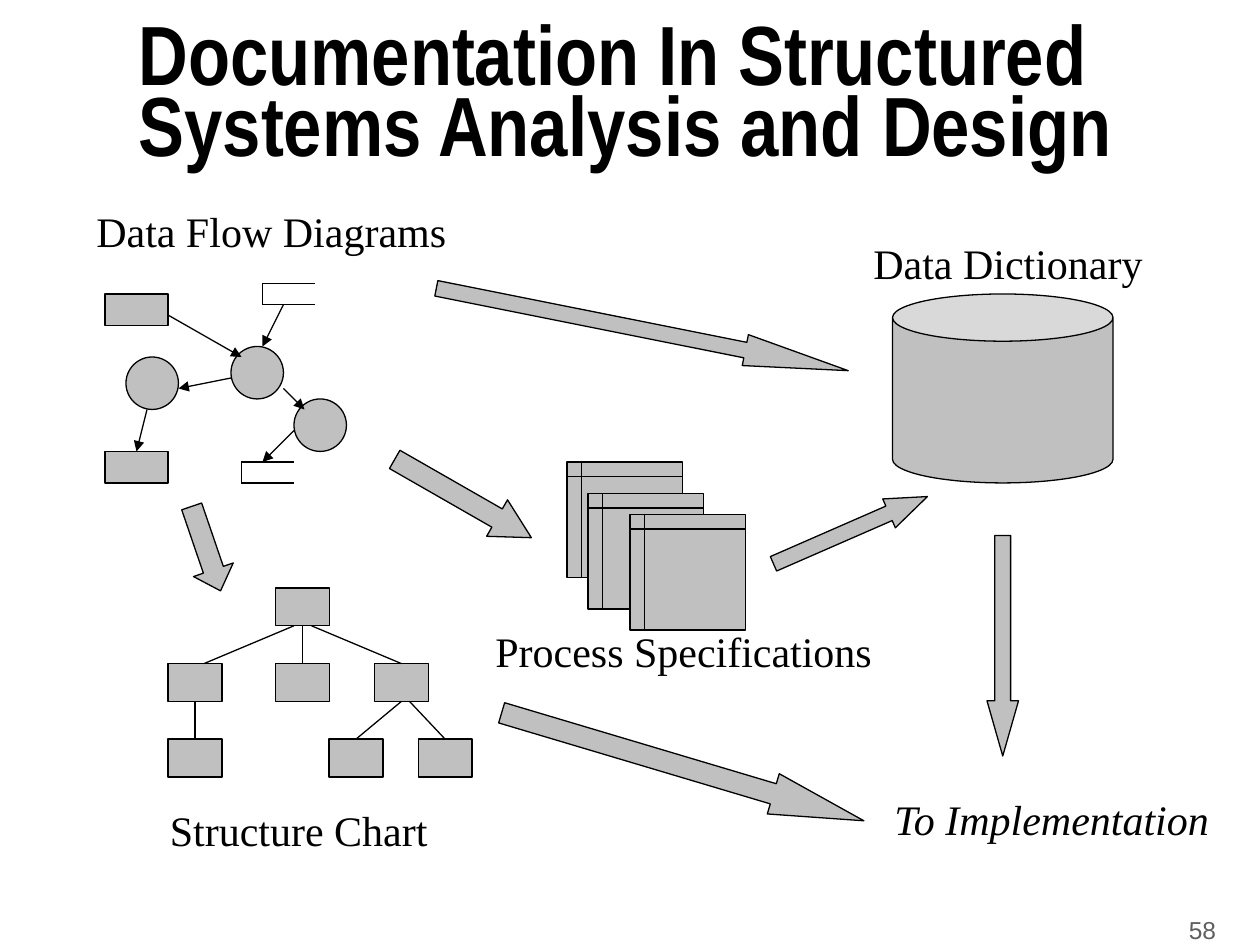
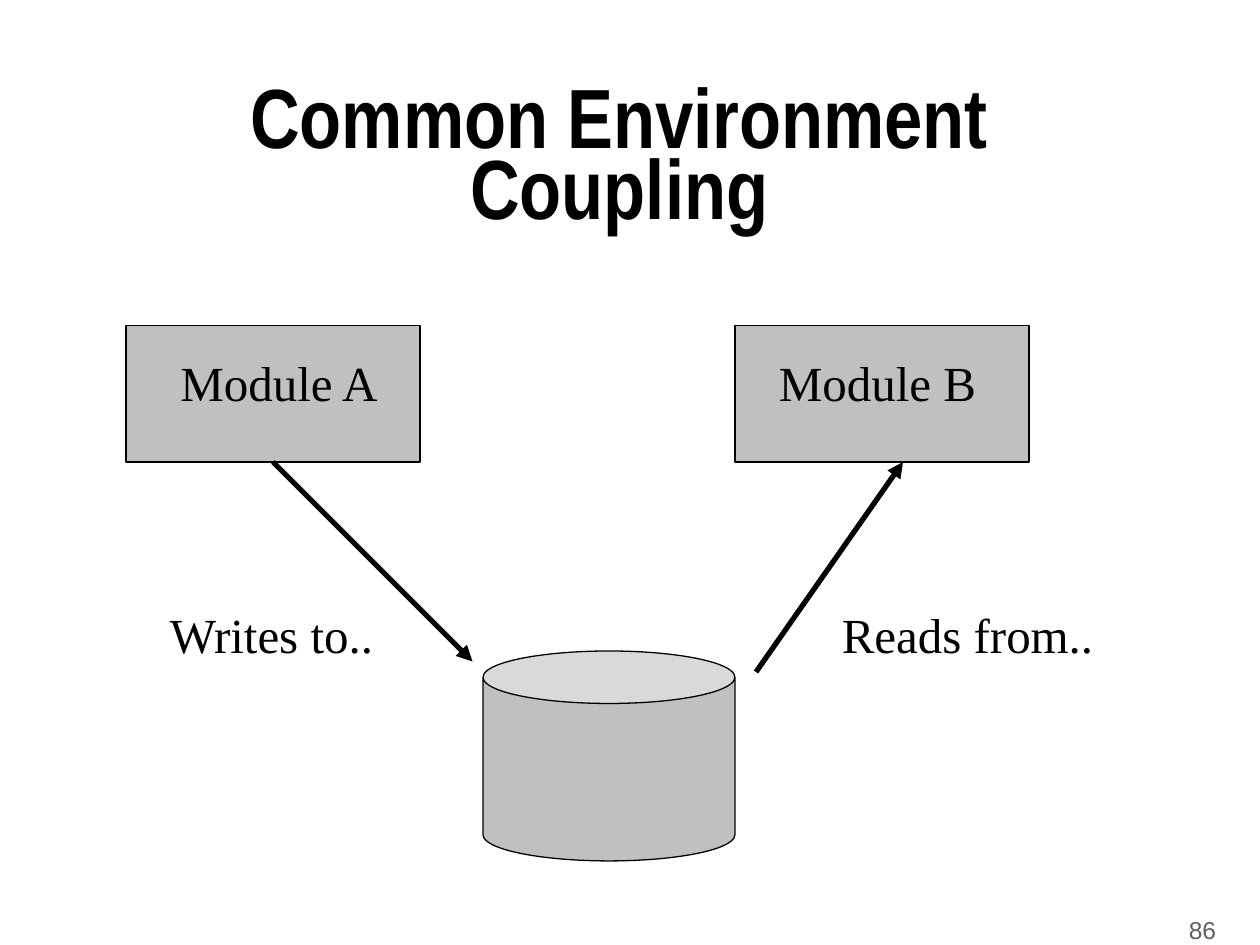
import pptx
import pptx.dml.color
import pptx.enum.shapes
import pptx.enum.text
import pptx.oxml.ns
import pptx.util
from lxml import etree

Pt = pptx.util.Pt
RGB = pptx.dml.color.RGBColor
SHAPE = pptx.enum.shapes.MSO_SHAPE
ALIGN = pptx.enum.text.PP_ALIGN
ANCHOR = pptx.enum.text.MSO_ANCHOR
qn = pptx.oxml.ns.qn

COLORS = {"ink": "000000", "fill": "C0C0C0", "number": "5F5F5F"}
TOP, BOTTOM = 0, 2  # connection sites of a rectangle


def write(sp, text, size=24, font="Times New Roman", color="ink", bold=False,
          italic=False, align=ALIGN.LEFT, anchor=ANCHOR.TOP, spacing=1.0, wrap=True):
    tf = sp.text_frame
    tf.word_wrap = wrap
    tf.auto_size = pptx.enum.text.MSO_AUTO_SIZE.NONE
    tf.vertical_anchor = anchor
    p = tf.paragraphs[0]
    p.alignment = align
    p.line_spacing = spacing
    p.space_before = Pt(0)
    r = p.add_run()
    r.text = text
    r.font.size = Pt(size)
    r.font.name = font
    r.font.bold = bold
    r.font.italic = italic
    r.font.color.rgb = RGB.from_string(COLORS[color])


def draw(s, kind, left, top, width, height, rotation=0, adjustments=()):
    """Add a grey preset shape with a thin black outline."""
    sp = s.shapes.add_shape(kind, Pt(left), Pt(top), Pt(width), Pt(height))
    sp.rotation = rotation
    for i, value in enumerate(adjustments):
        sp.adjustments[i] = value
    sp.fill.solid()
    sp.fill.fore_color.rgb = RGB.from_string(COLORS["fill"])
    sp.line.color.rgb = RGB.from_string(COLORS["ink"])
    sp.line.width = Pt(0.75)
    sp.shadow.inherit = False
    return sp


prs = pptx.Presentation()
prs.slide_width, prs.slide_height = Pt(720), Pt(540)

# Titles and slide numbers
slides = []
for title, box, align, number in [
    ("Documentation In Structured Systems Analysis and Design",
     (72, 0, 576, 114), ALIGN.LEFT, "58"),
    ("Common Environment Coupling", (72, 42, 564, 102), ALIGN.CENTER, "86"),
]:
    s = prs.slides.add_slide(prs.slide_layouts[5])
    sp = s.shapes.title
    sp.left, sp.top, sp.width, sp.height = [Pt(v) for v in box]
    write(sp, title, size=48, font="Arial Narrow", bold=True, align=align,
          anchor=ANCHOR.MIDDLE, spacing=0.7)
    sp = s.shapes.add_textbox(Pt(546), Pt(522), Pt(156), Pt(18))
    write(sp, number, size=14, font="Arial", color="number", align=ALIGN.RIGHT,
          anchor=ANCHOR.MIDDLE)
    slides.append(s)
docs_slide, coupling_slide = slides

# Each line: slide, x1, y1, x2, y2, width, arrowhead, start shape, end shape
lines = []

# Data flow diagram
externals = [draw(docs_slide, SHAPE.RECTANGLE, 60, top, 36, 18) for top in (168, 258)]
for left, top in [(132, 198), (72, 204), (168, 228)]:
    draw(docs_slide, SHAPE.OVAL, left, top, 30, 30)
for left, top in [(150, 162), (138, 264)]:
    right, bottom = left + 30, top + 12
    for ends in [(left, top, right, top), (left, top, left, bottom),
                 (left, bottom, right, bottom)]:
        lines.append((docs_slide, *ends, 0.75, False, None, None))
for *ends, target in [
    (96, 180, 138, 204, None),
    (162, 174, 150, 198, None),
    (132, 216, 102, 222, None),
    (84, 234, 78, 258, externals[1]),
    (162, 222, 174, 234, None),
    (168, 246, 150, 264, None),
]:
    lines.append((docs_slide, *ends, 0.75, True, None, target))

# Data dictionary and process specifications
draw(docs_slide, SHAPE.CAN, 510, 168, 126, 108, adjustments=[0.25])
for left, top in [(324, 264), (336, 282), (360, 294)]:
    draw(docs_slide, SHAPE.FLOWCHART_INTERNAL_STORAGE, left, top, 66, 66)

# Structure chart
level_tops = [336 + 43.2 * level for level in range(3)]
level_bottoms = [top + 21.6 for top in level_tops]
modules = {}
for name, left, level in [
    ("root", 157.6, 0),
    ("left", 96, 1), ("middle", 157.6, 1), ("right", 214, 1),
    ("left leaf", 96, 2), ("right leaf 1", 188, 2), ("right leaf 2", 239, 2),
]:
    modules[name] = draw(docs_slide, SHAPE.RECTANGLE, left, level_tops[level], 30.8, 21.6)
for level, x1, x2, parent, child in [
    (0, 173, 173, "root", "middle"),
    (0, 168, 116.6, None, None),
    (0, 178, 229.4, None, "right"),
    (1, 111.4, 111.4, "left", "left leaf"),
    (1, 229.4, 203.4, "right", "right leaf 1"),
    (1, 234, 254.4, None, "right leaf 2"),
]:
    lines.append((docs_slide, x1, level_bottoms[level], x2, level_tops[level + 1],
                  0.75, False, modules.get(parent), modules.get(child)))

# Block arrows between the documents
for kind, left, top, width, height, rotation, head in [
    (SHAPE.RIGHT_ARROW, 247, 179.3, 240, 18, 11.3, 3.33),
    (SHAPE.DOWN_ARROW, 105.8, 288, 24, 51, 341.1, 0.53),
    (SHAPE.RIGHT_ARROW, 282.2, 426.2, 216, 24, 16.6, 2.25),
    (SHAPE.DOWN_ARROW, 564, 306, 18, 126, 0, 1.75),
    (SHAPE.RIGHT_ARROW, 219.6, 272.9, 90, 24, 29.8, 0.94),
    (SHAPE.RIGHT_ARROW, 438, 294, 96, 18, 336.4, 1.33),
]:
    draw(docs_slide, kind, left, top, width, height, rotation, [0.5, head])

# Modules sharing a data store
module_a, module_b = [draw(coupling_slide, SHAPE.RECTANGLE, left, 186, 168, 78)
                      for left in (72, 420)]
draw(coupling_slide, SHAPE.CAN, 276, 372, 144, 120, adjustments=[0.25])
lines.append((coupling_slide, 156, 264, 270, 378, 3, True, module_a, None))
lines.append((coupling_slide, 432, 384, 516, 264, 3, True, None, None))

for s, x1, y1, x2, y2, width, arrow, source, target in lines:
    cn = s.shapes.add_connector(pptx.enum.shapes.MSO_CONNECTOR.STRAIGHT,
                                Pt(x1), Pt(y1), Pt(x2), Pt(y2))
    if source is not None:
        cn.begin_connect(source, BOTTOM)
    if target is not None:
        cn.end_connect(target, TOP)
    cn.line.color.rgb = RGB.from_string(COLORS["ink"])
    cn.line.width = Pt(width)
    if arrow:
        etree.SubElement(cn.line._get_or_add_ln(), qn("a:tailEnd"), type="triangle")
    etree.SubElement(cn._element.spPr, qn("a:effectLst"))

# Labels
for s, text, left, top, width, height, style in [
    (docs_slide, "Process Specifications", 276, 354, 246, 36, {}),
    (docs_slide, "Data Dictionary", 492, 132, 168.5, 36, {"wrap": False}),
    (docs_slide, "Structure Chart", 90, 456, 161.3, 36, {"wrap": False}),
    (docs_slide, "Data Flow Diagrams", 48, 114, 213.8, 36, {"wrap": False}),
    (docs_slide, "To Implementation", 504, 450, 196.6, 36,
     {"wrap": False, "italic": True}),
    (coupling_slide, "Writes to..", 90, 342, 132, 41, {"size": 28}),
    (coupling_slide, "Reads from..", 474, 342, 216, 41, {"size": 28}),
    (coupling_slide, "Module A", 96, 198, 138, 41, {"size": 28}),
    (coupling_slide, "Module B", 438, 198, 138, 41, {"size": 28}),
]:
    sp = s.shapes.add_textbox(Pt(left), Pt(top), Pt(width), Pt(height))
    write(sp, text, **style)

prs.save("out.pptx")
